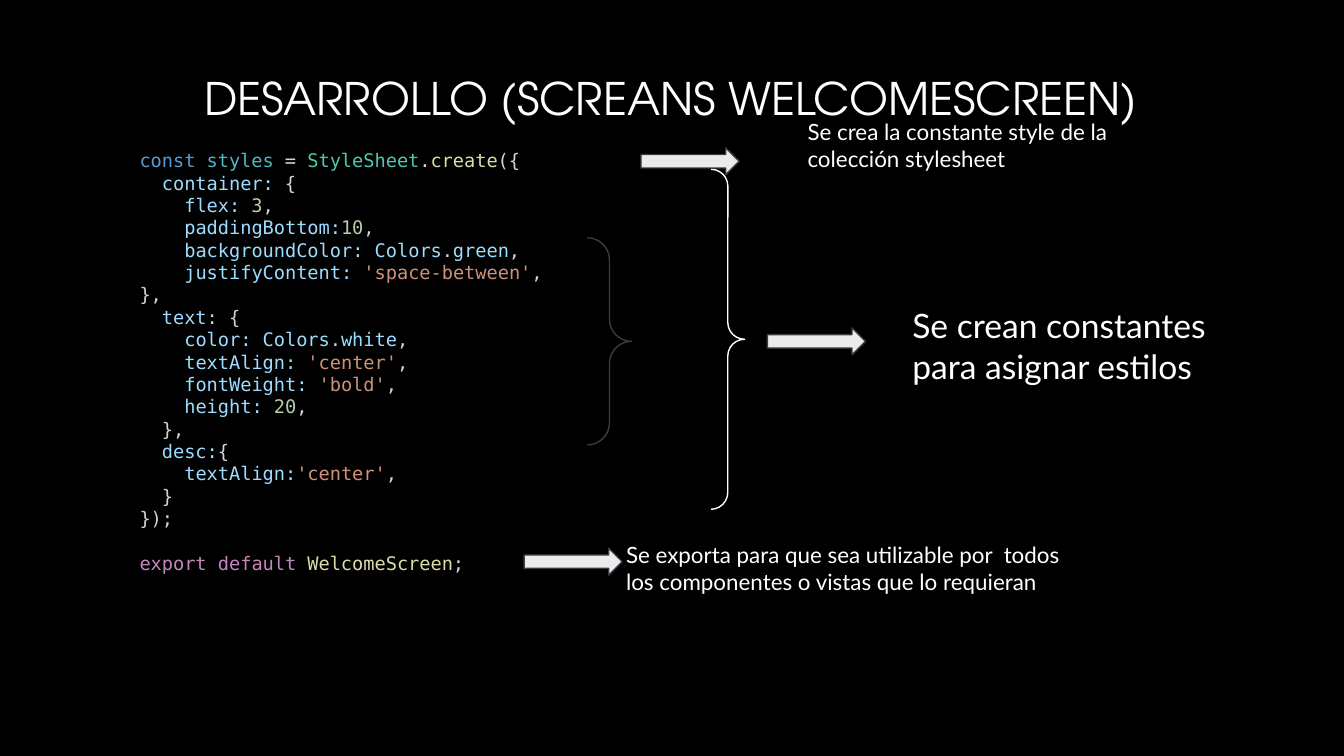
import pptx
import pptx.util
import pptx.dml.color
import pptx.enum.shapes

Inches = pptx.util.Inches
Pt = pptx.util.Pt
RGBColor = pptx.dml.color.RGBColor
MSO_SHAPE = pptx.enum.shapes.MSO_SHAPE

BLACK = RGBColor(0x00, 0x00, 0x00)
WHITE = RGBColor(0xFF, 0xFF, 0xFF)
SLATE = RGBColor(0x36, 0x3D, 0x46)
ARROW_GREY = RGBColor(0xEB, 0xEB, 0xEB)

# Syntax colours
KEYWORD = RGBColor(0x56, 0x9C, 0xD6)
CONSTANT = RGBColor(0x51, 0xB6, 0xC4)
TYPE = RGBColor(0x4E, 0xC9, 0xB0)
FUNCTION = RGBColor(0xDC, 0xDC, 0xAA)
PROPERTY = RGBColor(0x9C, 0xDC, 0xFE)
NUMBER = RGBColor(0xB5, 0xCE, 0xA8)
STRING = RGBColor(0xCE, 0x91, 0x78)
EXPORT = RGBColor(0xC5, 0x86, 0xC0)
PLAIN = RGBColor(0xD4, 0xD4, 0xD4)

TITLE_FONT = "TeX Gyre Adventor"
BODY_FONT = "Lato"
CODE_FONT = "DejaVu Sans Mono"
INDENT = Pt(12)  # two monospaced characters at 10 pt


def setting(name, value, color):
    """A code line such as 'name: value,' one level inside a style."""
    return 2, [(name, PROPERTY), (value, color), (",", PLAIN)]


def color_setting(name, value):
    return 2, [(name + " Colors", PROPERTY), (".", PLAIN),
               (value, PROPERTY), (",", PLAIN)]


def opening(name, brace):
    return 1, [(name, PROPERTY), (brace, PLAIN)]


def closing(level, text):
    return level, [(text, PLAIN)]


# Each line: indent level, coloured tokens
CODE = [
    (0, [("const ", KEYWORD), ("styles", CONSTANT), (" = ", PLAIN),
         ("StyleSheet", TYPE), (".", PLAIN), ("create", FUNCTION),
         ("({", PLAIN)]),
    opening("container:", " {"),
    setting("flex: ", "3", NUMBER),
    setting("paddingBottom:", "10", NUMBER),
    color_setting("backgroundColor:", "green"),
    setting("justifyContent: ", "'space-between'", STRING),
    closing(0, "},"),
    opening("text:", " {"),
    color_setting("color:", "white"),
    setting("textAlign: ", "'center'", STRING),
    setting("fontWeight: ", "'bold'", STRING),
    setting("height: ", "20", NUMBER),
    closing(1, "},"),
    opening("desc:", "{"),
    setting("textAlign:", "'center'", STRING),
    closing(1, "}"),
    closing(0, "});"),
    (0, [("export default ", EXPORT), ("WelcomeScreen", FUNCTION),
         (";", PLAIN)]),
]


def add_text_frame(s, left, top, width, height):
    box = s.shapes.add_textbox(Inches(left), Inches(top),
                               Inches(width), Inches(height))
    tf = box.text_frame
    tf.word_wrap = True
    return tf


def add_text(s, left, top, width, height, text, size, font=BODY_FONT):
    tf = add_text_frame(s, left, top, width, height)
    tf.margin_top = tf.margin_bottom = Inches(0.1)
    p = tf.paragraphs[0]
    p.text = text
    p.font.name = font
    p.font.size = Pt(size)
    p.font.color.rgb = WHITE


def add_code(s, left, top, width, height):
    tf = add_text_frame(s, left, top, width, height)
    for i, (level, tokens) in enumerate(CODE):
        p = tf.add_paragraph() if i else tf.paragraphs[0]
        p.font.name = CODE_FONT
        p.font.size = Pt(10)
        p.line_spacing = Pt(12)
        p._p.get_or_add_pPr().set("marL", str(level * INDENT))
        for text, color in tokens:
            r = p.add_run()
            r.text = text
            r.font.color.rgb = color
    p.space_before = Pt(12)  # gap above the export statement


def add_outlined(s, kind, left, top, width, height, line):
    sp = s.shapes.add_shape(kind, Inches(left), Inches(top),
                            Inches(width), Inches(height))
    sp.shadow.inherit = False
    sp.line.color.rgb = line
    sp.line.width = Pt(0.75)
    return sp


def add_brace(s, left, top, width, height, line):
    sp = add_outlined(s, MSO_SHAPE.RIGHT_BRACE, left, top, width, height, line)
    sp.adjustments[0] = 0.5
    sp.fill.background()


def add_arrow(s, left, top):
    sp = add_outlined(s, MSO_SHAPE.RIGHT_ARROW, left, top, 0.73, 0.2, SLATE)
    sp.fill.solid()
    sp.fill.fore_color.rgb = ARROW_GREY


def main():
    prs = pptx.Presentation()
    prs.slide_width = Inches(10)
    prs.slide_height = prs.slide_width * 9 // 16
    s = prs.slides.add_slide(prs.slide_layouts[6])
    s.background.fill.solid()
    s.background.fill.fore_color.rgb = BLACK

    add_code(s, 0.94, 1.06, 3.76, 3.3)
    add_text(s, 1.42, 0.43, 7.7, 1, "DESARROLLO (SCREANS WELCOMESCREEN)",
             24, TITLE_FONT)
    add_brace(s, 4.37, 1.77, 0.33, 1.54, SLATE)
    add_brace(s, 5.29, 1.26, 0.25, 2.53, WHITE)
    for left, top in [(4.77, 1.1), (5.71, 2.44), (3.9, 4.08)]:
        add_arrow(s, left, top)
    add_text(s, 5.91, 0.78, 2.59, 0.65,
             "Se crea la constante style de la colección stylesheet", 12)
    add_text(s, 6.69, 2.17, 2.59, 0.65,
             "Se crean constantes para asignar estilos", 18)
    add_text(s, 4.56, 3.93, 3.43, 0.54,
             "Se exporta para que sea utilizable por  todos los componentes "
             "o vistas que lo requieran", 12)
    prs.save("out.pptx")


if __name__ == "__main__":
    main()
